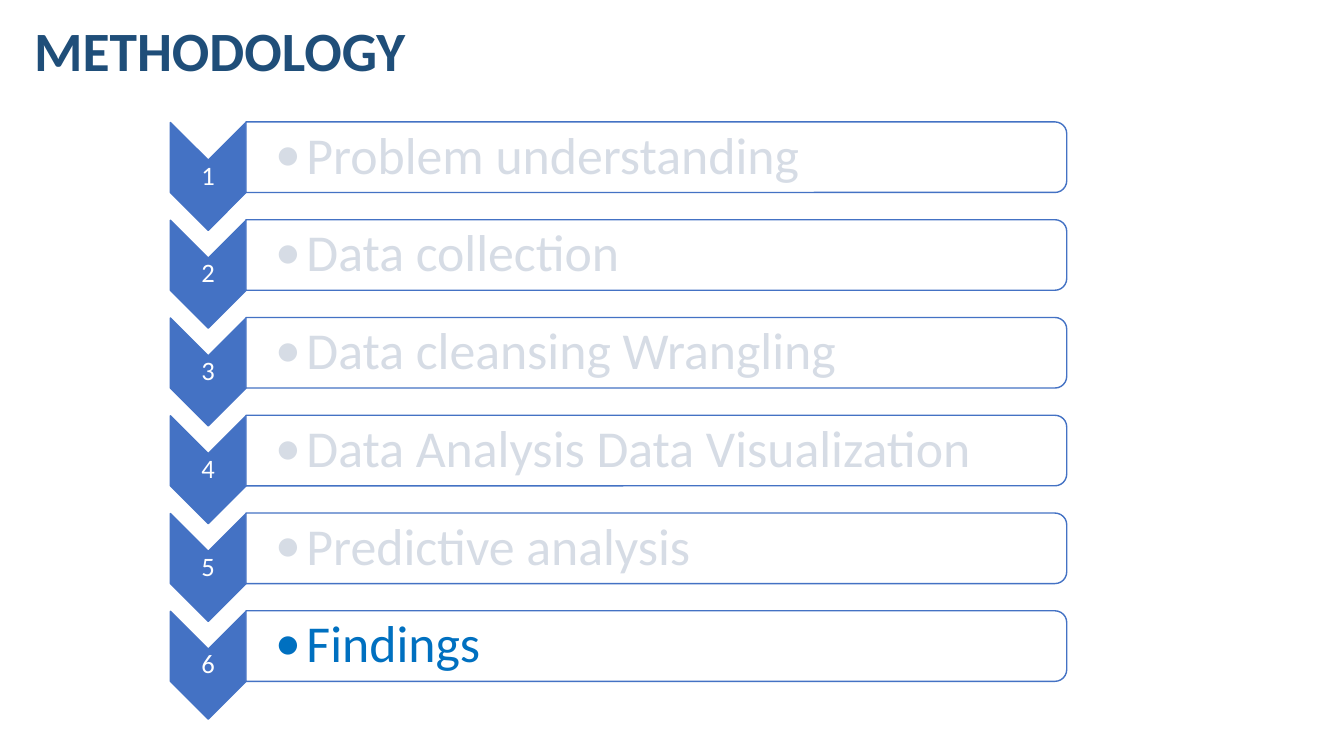
from pptx import Presentation
from pptx.dml.color import RGBColor
from pptx.enum.shapes import MSO_SHAPE
from pptx.enum.text import MSO_ANCHOR, PP_ALIGN
from pptx.oxml.ns import qn
from pptx.util import Inches, Pt
from lxml import etree

CHEVRON = MSO_SHAPE.CHEVRON
BAR = MSO_SHAPE.ROUND_2_SAME_RECTANGLE
MIDDLE = MSO_ANCHOR.MIDDLE
LEFT, CENTER = PP_ALIGN.LEFT, PP_ALIGN.CENTER

TITLE = "METHODOLOGY"
STEPS = [
    "Problem understanding",
    "Data collection",
    "Data cleansing Wrangling",
    "Data Analysis Data Visualization",
    "Predictive analysis",
    "Findings",
]
CURRENT_STEP = "Findings"

COLORS = {
    "title": "1F4E79",
    "accent": "4472C4",
    "white": "FFFFFF",
    "muted": "D6DCE5",
    "current": "0070C0",
}
TITLE_FORMAT = {"size": Pt(39.6), "bold": True}
NUMBER_FORMAT = {"size": Pt(19)}
STEP_FORMAT = {"size": Pt(37)}

# Vertical centres of the first and last bar; the other rows are spaced evenly
FIRST_CENTER, LAST_CENTER = 1.56, 6.41
ROW_PITCH = (LAST_CENTER - FIRST_CENTER) / (len(STEPS) - 1)
CHEVRON_LEFT, CHEVRON_WIDTH, CHEVRON_HEIGHT = 1.69, 0.75, 1.07
CHEVRON_DROP = 0.19
BAR_LEFT, BAR_WIDTH, BAR_HEIGHT = CHEVRON_LEFT + CHEVRON_WIDTH, 8.14, 0.7
NUMBER_HEIGHT = 0.32
STEP_WIDTH, STEP_HEIGHT = 8.1, 0.63
BULLET_INDENT = 0.31


def add_turned_shape(slide, kind, left, middle, width, height, fill):
    """Add a shape turned 90 degrees; width and height are as seen after the turn."""
    shape = slide.shapes.add_shape(
        kind,
        Inches(left + (width - height) / 2),
        Inches(middle - width / 2),
        Inches(height),
        Inches(width),
    )
    shape.rotation = 90
    shape.shadow.inherit = False
    shape.fill.solid()
    shape.fill.fore_color.rgb = RGBColor.from_string(COLORS[fill])
    shape.line.color.rgb = RGBColor.from_string(COLORS["accent"])
    shape.line.width = Pt(1)


def add_text(slide, text, left, middle, width, height, color, font_format,
             margins=(0.1, 0.05, 0.1, 0.05), alignment=LEFT):
    """Add a vertically centred text box and return its paragraph."""
    box = slide.shapes.add_textbox(
        Inches(left), Inches(middle - height / 2), Inches(width), Inches(height)
    )
    frame = box.text_frame
    frame.word_wrap = True
    frame.vertical_anchor = MIDDLE
    for side, margin in zip(("left", "top", "right", "bottom"), margins):
        setattr(frame, f"margin_{side}", Inches(margin))
    paragraph = frame.paragraphs[0]
    paragraph.alignment = alignment
    paragraph.line_spacing = 0.9
    run = paragraph.add_run()
    run.text = text
    run.font.name = "Calibri"
    run.font.color.rgb = RGBColor.from_string(COLORS[color])
    for name, value in font_format.items():
        setattr(run.font, name, value)
    return paragraph


def add_bullet(paragraph):
    properties = paragraph._p.get_or_add_pPr()
    properties.set("marL", str(Inches(BULLET_INDENT)))
    properties.set("indent", str(-Inches(BULLET_INDENT)))
    etree.SubElement(properties, qn("a:buFont")).set("typeface", "Calibri")
    etree.SubElement(properties, qn("a:buChar")).set("char", "•")


def add_step(slide, number, step):
    bar_center = FIRST_CENTER + (number - 1) * ROW_PITCH
    chevron_center = bar_center + CHEVRON_DROP
    add_turned_shape(slide, CHEVRON, CHEVRON_LEFT, chevron_center,
                     CHEVRON_WIDTH, CHEVRON_HEIGHT, "accent")
    add_text(slide, str(number), CHEVRON_LEFT, chevron_center, CHEVRON_WIDTH,
             NUMBER_HEIGHT, "white", NUMBER_FORMAT, (0.01,) * 4, CENTER)
    add_turned_shape(slide, BAR, BAR_LEFT, bar_center, BAR_WIDTH, BAR_HEIGHT, "white")
    color = "current" if step == CURRENT_STEP else "muted"
    paragraph = add_text(slide, step, BAR_LEFT, bar_center, STEP_WIDTH, STEP_HEIGHT,
                         color, STEP_FORMAT, (0.29, 0.03, 0.03, 0.03))
    add_bullet(paragraph)


def main():
    presentation = Presentation()
    presentation.slide_width = Inches(13.33)
    presentation.slide_height = Inches(7.5)
    slide = presentation.slides.add_slide(presentation.slide_layouts[6])
    add_text(slide, TITLE, 0.24, 0.53, 7.91, 0.6, "title", TITLE_FORMAT)
    for number, step in enumerate(STEPS, start=1):
        add_step(slide, number, step)
    presentation.save("out.pptx")


if __name__ == "__main__":
    main()
